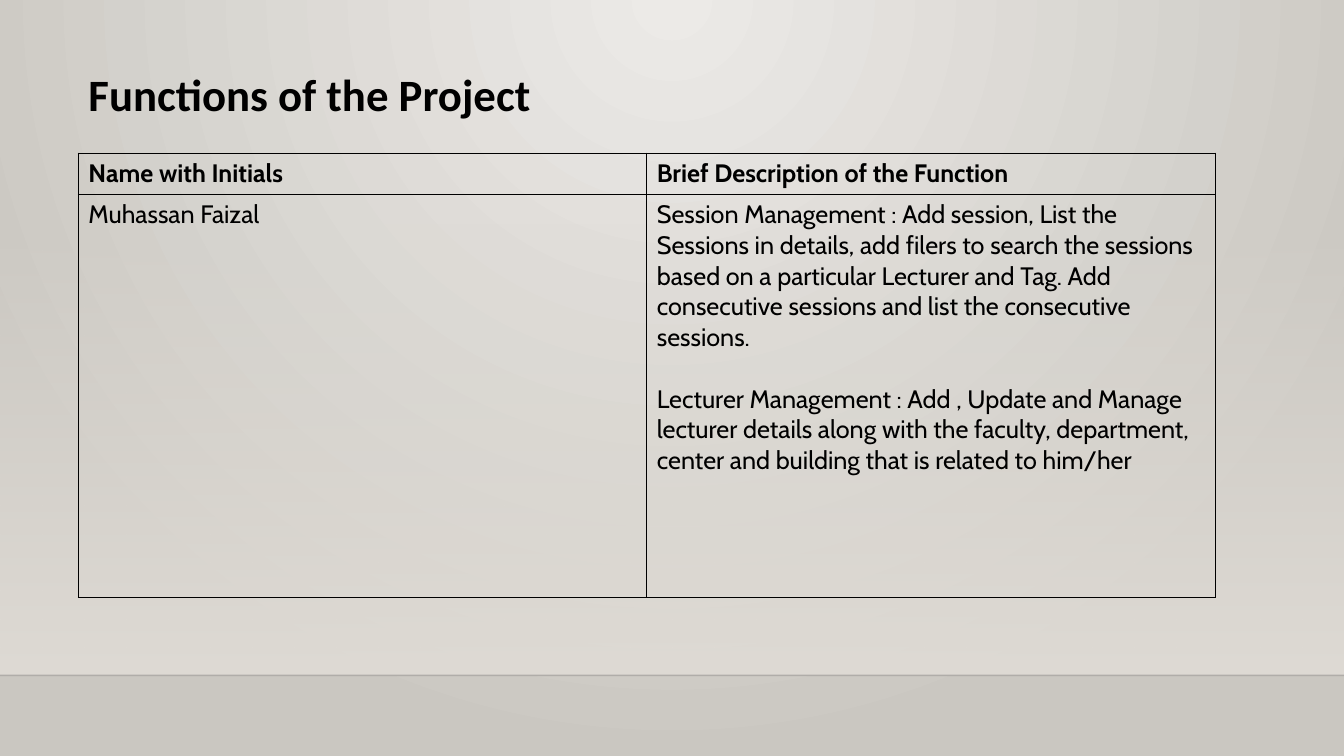
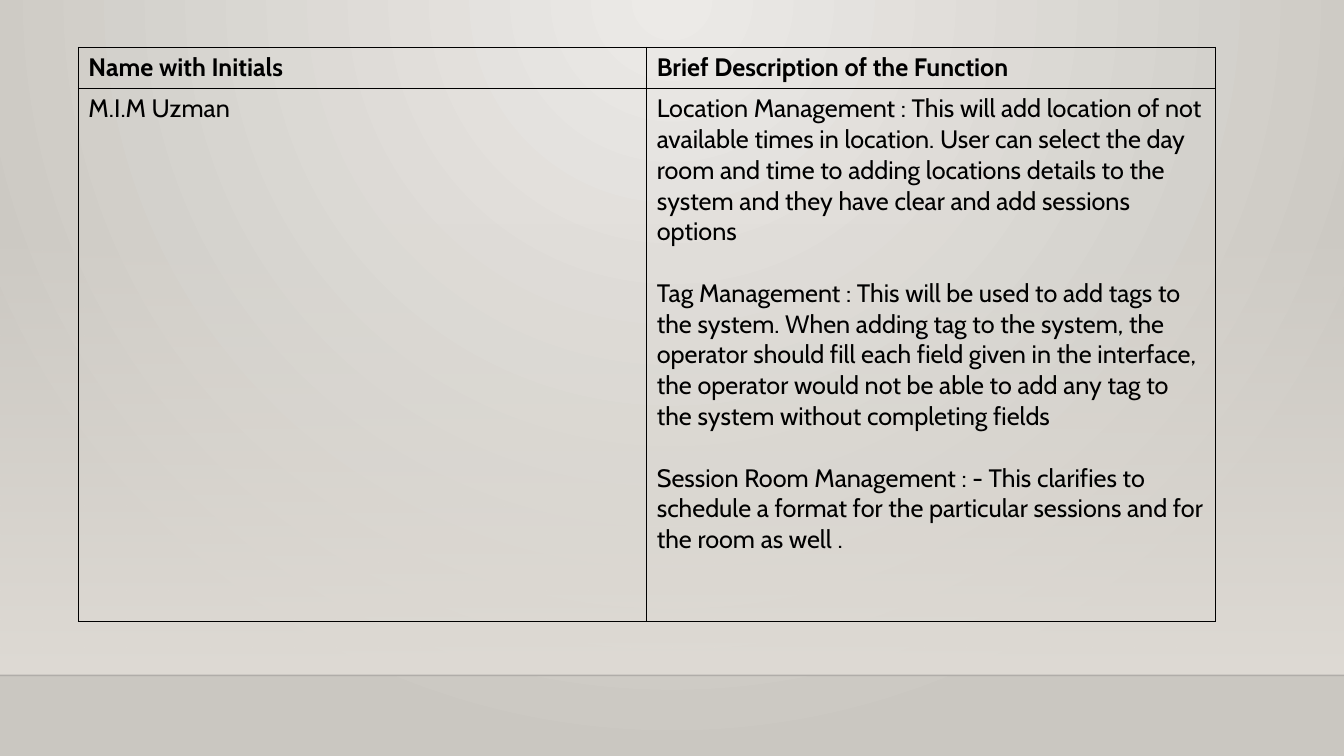
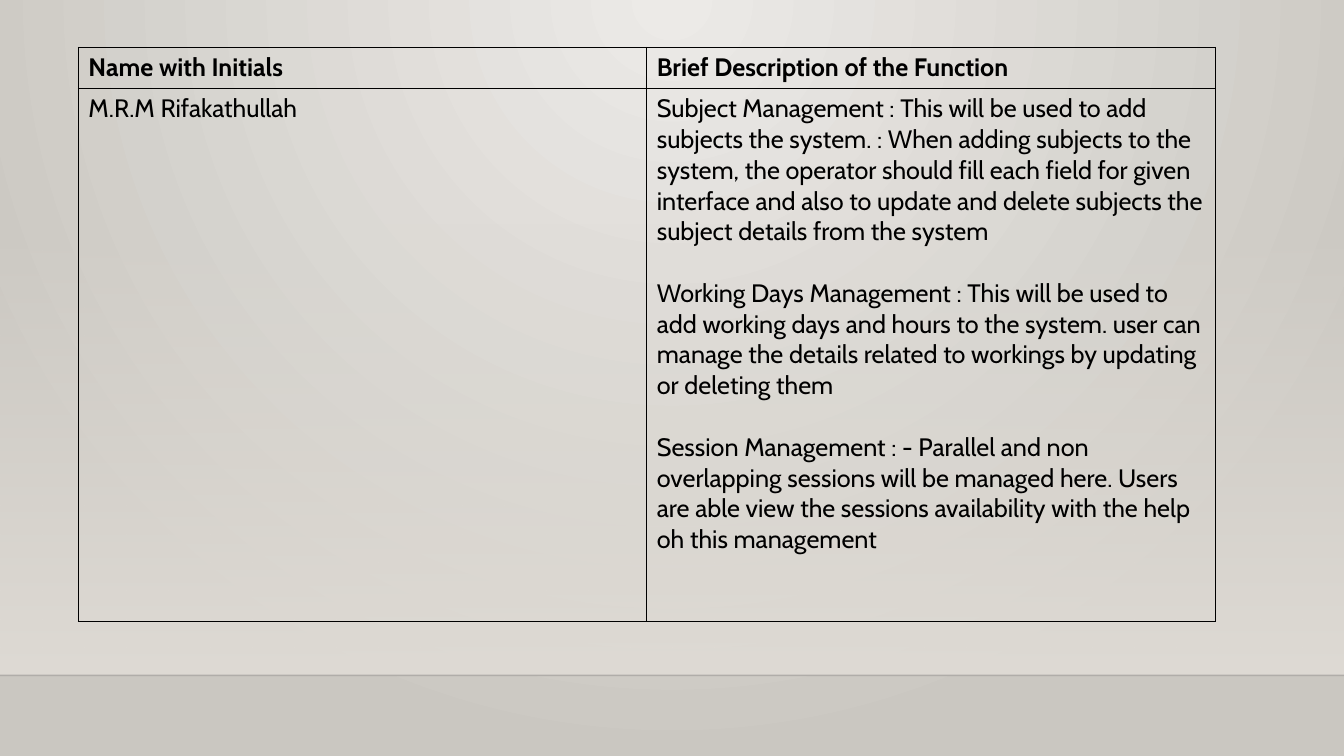
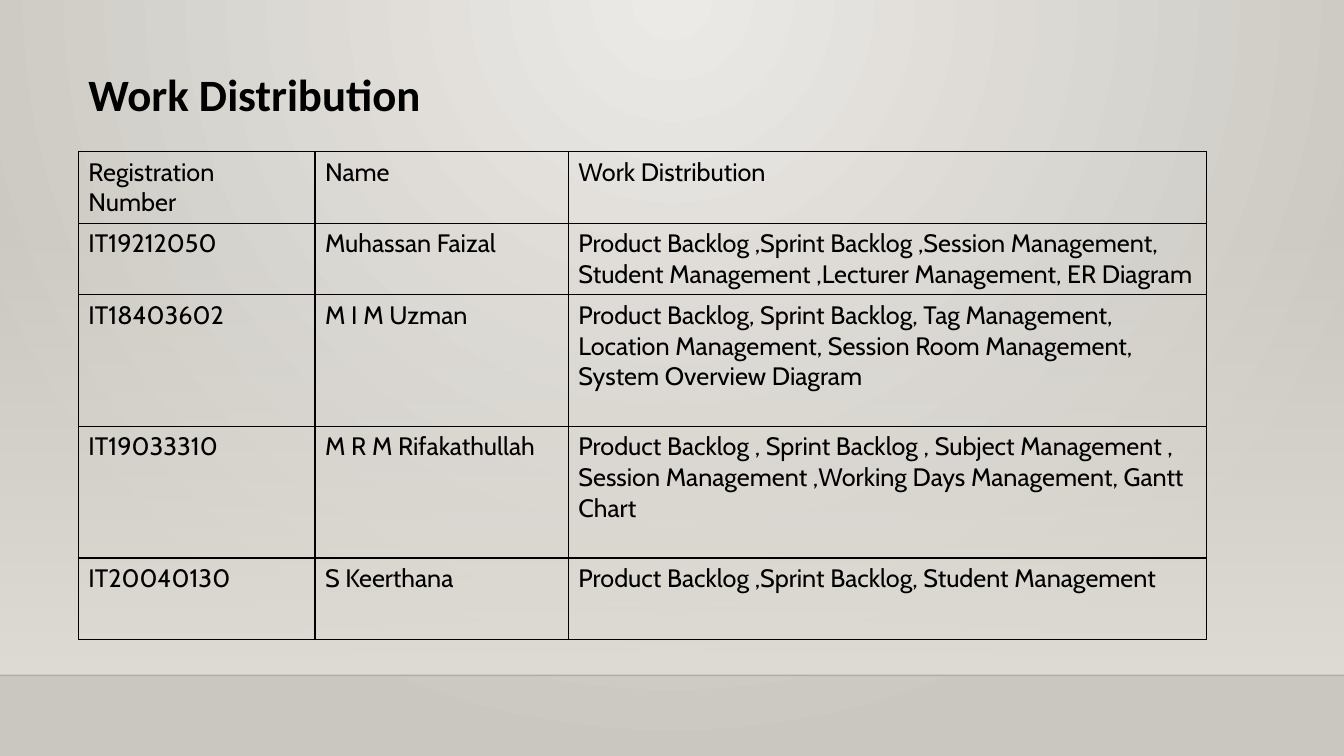
from lxml import etree
from pptx import Presentation
from pptx.dml.color import RGBColor
from pptx.enum import shapes, text
from pptx.oxml import ns
from pptx.util import Pt

BLACK = RGBColor(0x00, 0x00, 0x00)
HORIZON = RGBColor(0x00, 0x00, 0x01)
GLOW = RGBColor(0xEC, 0xEA, 0xE7)
EDGE = RGBColor(0xCA, 0xC7, 0xC1)
HAZE = RGBColor(0xDF, 0xDB, 0xD5)

SLIDE_WIDTH, SLIDE_HEIGHT = 960, 540
HAZE_TOP, FLOOR_TOP = 159, 482.4
LEFT = 56
TITLE_TOP, TITLE_WIDTH, TITLE_HEIGHT = 44, 390, 46
PARAGRAPH_GAP = 22

TITLE_FONT = {"name": "Calibri", "size": Pt(32), "bold": True}
HEADER_FONT = {"name": "Cabin", "size": Pt(18), "bold": True}
BODY_FONT = {**HEADER_FONT, "bold": False}

FUNCTION_HEADER = ["Name with Initials", "Brief Description of the Function"]
FUNCTION_COLUMNS = [406, 406]

PAGES = [
    {
        "title": "Functions of the Project",
        "top": 109.5,
        "columns": FUNCTION_COLUMNS,
        "heights": [29, 288],
        "header_font": HEADER_FONT,
        "rows": [
            FUNCTION_HEADER,
            ["Muhassan Faizal", [
                "Session Management : Add session, List the Sessions in details, add filers to search the sessions based on a particular Lecturer and Tag. Add consecutive sessions and list the consecutive sessions.",
                "Lecturer Management : Add , Update and Manage lecturer details along with the faculty, department, center and building that is related to him/her",
            ]],
        ],
    },
    {
        "top": 34,
        "columns": FUNCTION_COLUMNS,
        "heights": [29, 381],
        "header_font": HEADER_FONT,
        "rows": [
            FUNCTION_HEADER,
            ["M.I.M Uzman", [
                "Location Management : This will add location of not available times in location. User can select the day room and time to adding locations details to the system and they have clear and add sessions options",
                "Tag Management : This will be used to add tags to the system. When adding tag to the system, the operator should fill each field given in the interface, the operator would not be able to add any tag to the system without completing fields",
                "Session Room Management : - This clarifies to schedule a format for the particular sessions and for the room as well .",
            ]],
        ],
    },
    {
        "top": 34,
        "columns": FUNCTION_COLUMNS,
        "heights": [29, 381],
        "header_font": HEADER_FONT,
        "rows": [
            FUNCTION_HEADER,
            ["M.R.M Rifakathullah", [
                "Subject Management : This will be used to add subjects the system. : When adding subjects to the system, the operator should fill each field for given interface and also to update and delete subjects the subject details from the system",
                "Working Days Management : This will be used to add working days and hours to the system. user can manage the details related to workings by updating or deleting them",
                "Session Management : - Parallel and non overlapping sessions will be managed here. Users are able view the sessions availability with the help oh this management",
            ]],
        ],
    },
    {
        "title": "Work Distribution",
        "top": 108.3,
        "columns": [169, 181, 456],
        "heights": [50, 50, 94, 94, 58],
        "header_font": BODY_FONT,
        "rows": [
            ["Registration Number", "Name", "Work Distribution"],
            ["IT19212050", "Muhassan Faizal",
             "Product Backlog ,Sprint Backlog ,Session Management, Student Management ,Lecturer Management, ER Diagram"],
            ["IT18403602", "M I M Uzman",
             "Product Backlog, Sprint Backlog, Tag Management, Location Management, Session Room Management, System Overview Diagram"],
            ["IT19033310", "M R M Rifakathullah",
             "Product Backlog , Sprint Backlog , Subject Management , Session Management ,Working Days Management, Gantt Chart"],
            ["IT20040130", "S Keerthana",
             "Product Backlog ,Sprint Backlog, Student Management"],
        ],
    },
]


def add_xml(parent, tag, **attributes):
    return etree.SubElement(parent, ns.qn(tag), attributes)


def format_font(font, values):
    for name, value in values.items():
        setattr(font, name, value)
    font.color.rgb = BLACK


def set_gradient(fill, colors):
    fill.gradient()
    for stop, color in zip(fill.gradient_stops, colors):
        stop.color.rgb = color


def paint_background(master):
    set_gradient(master.background.fill, [GLOW, EDGE])
    gradient = master.element.xpath(".//p:bg//a:gradFill")[0]
    gradient.remove(gradient.find(ns.qn("a:lin")))
    circle = add_xml(gradient, "a:path", path="circle")
    add_xml(circle, "a:fillToRect", l="43000", t="0", r="43000", b="100000")


def add_scenery(master, page):
    haze = page.shapes.add_shape(
        shapes.MSO_SHAPE.RECTANGLE, 0, Pt(HAZE_TOP), Pt(SLIDE_WIDTH), Pt(FLOOR_TOP - HAZE_TOP))
    haze.shadow.inherit = False
    haze.line.fill.background()
    set_gradient(haze.fill, [HAZE, HAZE])
    haze.fill.gradient_angle = 270
    add_xml(haze.element.xpath(".//a:gs/a:srgbClr")[0], "a:alpha", val="0")

    horizon = page.shapes.add_connector(
        shapes.MSO_CONNECTOR.STRAIGHT, 0, Pt(FLOOR_TOP), Pt(SLIDE_WIDTH), Pt(FLOOR_TOP))
    horizon.line.width = Pt(1)
    horizon.line.color.rgb = HORIZON
    add_xml(horizon.element.xpath(".//a:ln//a:srgbClr")[0], "a:alpha", val="20000")
    add_xml(horizon.element.spPr, "a:effectLst")

    for number, part in enumerate([haze, horizon]):
        part.element.xpath(".//p:cNvPr")[0].set("id", str(100 + number))
        master.shapes.element.insert(2 + number, part.element)


def place_title(page, words):
    title = page.shapes.title
    title.left, title.top = Pt(LEFT), Pt(TITLE_TOP)
    title.width, title.height = Pt(TITLE_WIDTH), Pt(TITLE_HEIGHT)
    title.text = words
    title.text_frame.vertical_anchor = text.MSO_ANCHOR.MIDDLE
    para = title.text_frame.paragraphs[0]
    para.alignment = text.PP_ALIGN.LEFT
    format_font(para.font, TITLE_FONT)


def fill_cell(cell, content, font):
    properties = cell._tc.get_or_add_tcPr()
    for side in "LRTB":
        border = add_xml(properties, f"a:ln{side}", w=str(Pt(1)))
        add_xml(add_xml(border, "a:solidFill"), "a:srgbClr", val=str(BLACK))
    cell.fill.background()
    lines = [content] if isinstance(content, str) else content
    cell.text = "\n".join(lines)
    for index, para in enumerate(cell.text_frame.paragraphs):
        format_font(para.font, font)
        if index:
            para.space_before = Pt(PARAGRAPH_GAP)


def place_table(page, entry):
    rows, columns, heights = entry["rows"], entry["columns"], entry["heights"]
    table = page.shapes.add_table(
        len(rows), len(columns), Pt(LEFT), Pt(entry["top"]), Pt(sum(columns)), Pt(sum(heights))).table
    table.first_row = table.horz_banding = False
    for column, width in zip(table.columns, columns):
        column.width = Pt(width)
    for index, (row, height) in enumerate(zip(table.rows, heights)):
        row.height = Pt(height)
        font = BODY_FONT if index else entry["header_font"]
        for cell, content in zip(row.cells, rows[index]):
            fill_cell(cell, content, font)


def main():
    deck = Presentation()
    deck.slide_width, deck.slide_height = Pt(SLIDE_WIDTH), Pt(SLIDE_HEIGHT)
    title_only, blank = deck.slide_layouts[5], deck.slide_layouts[6]
    paint_background(deck.slide_master)
    for index, entry in enumerate(PAGES):
        page = deck.slides.add_slide(title_only if "title" in entry else blank)
        if index == 0:
            add_scenery(deck.slide_master, page)
        if "title" in entry:
            place_title(page, entry["title"])
        place_table(page, entry)
    deck.save("out.pptx")


if __name__ == "__main__":
    main()
